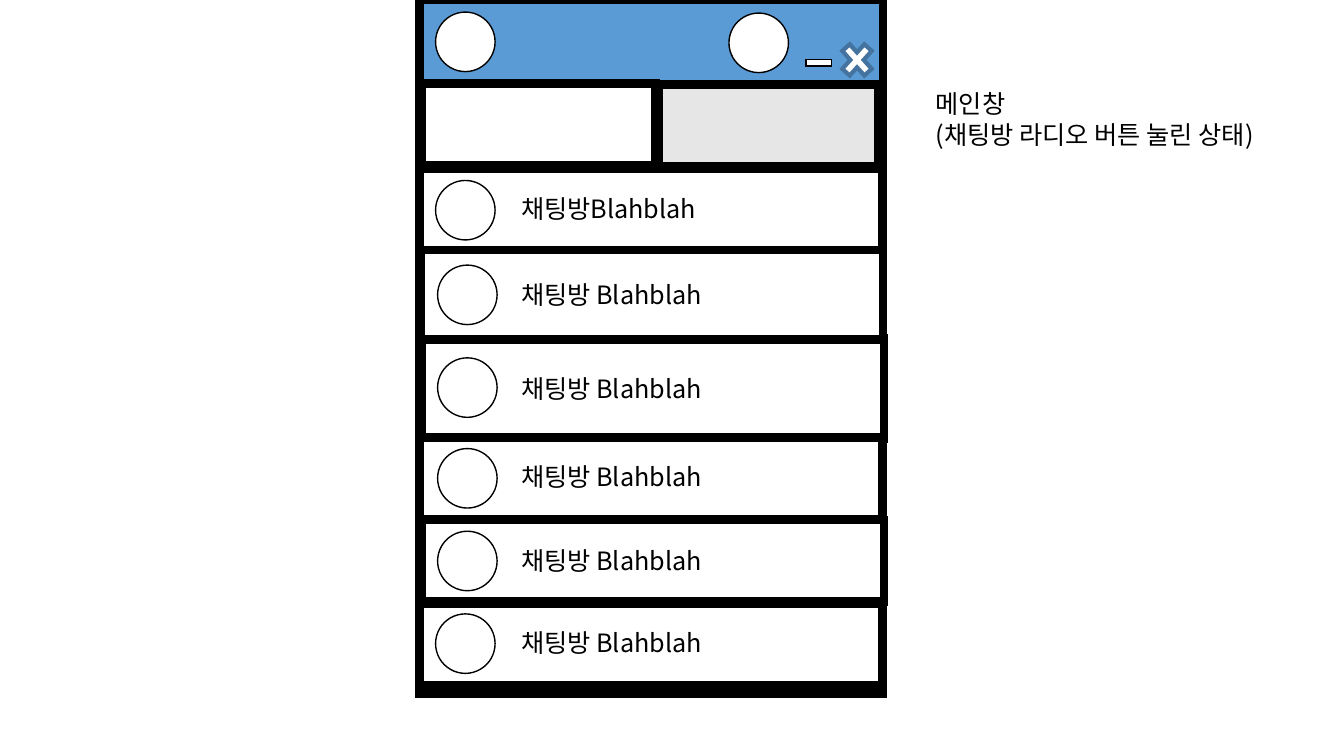
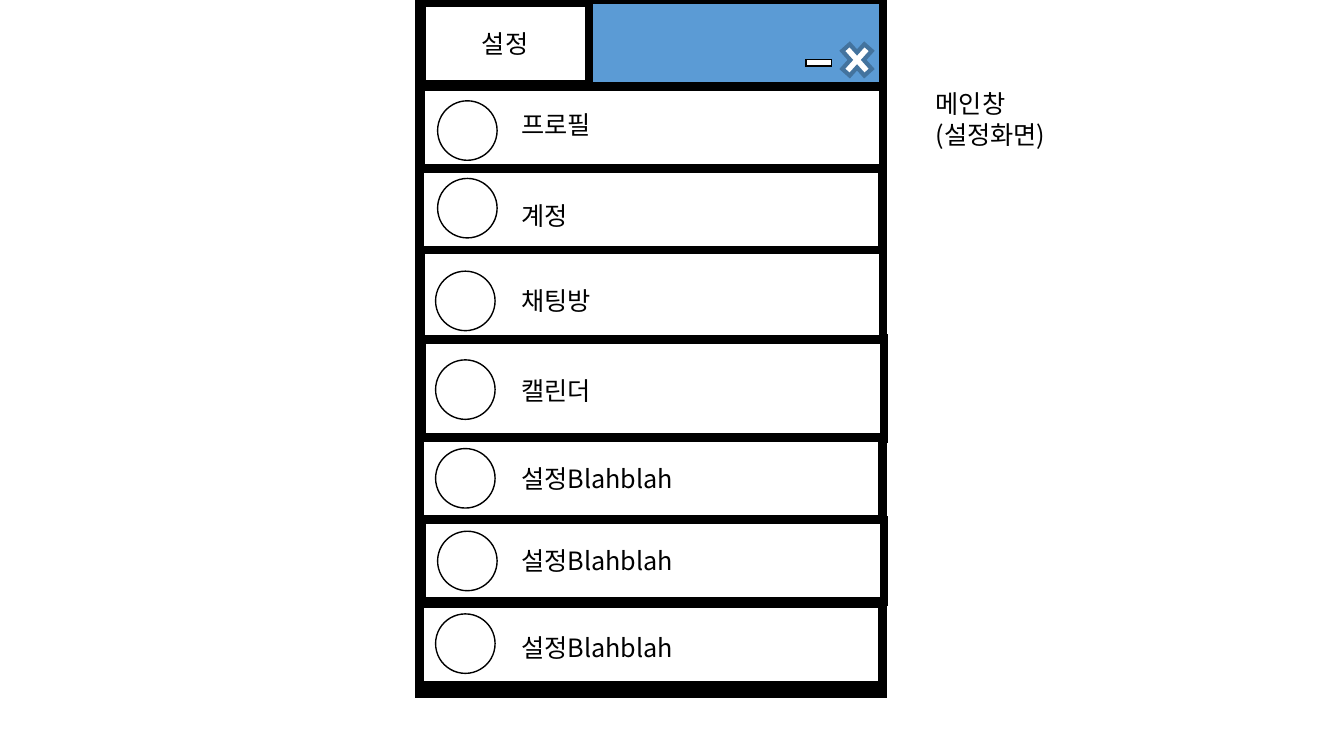
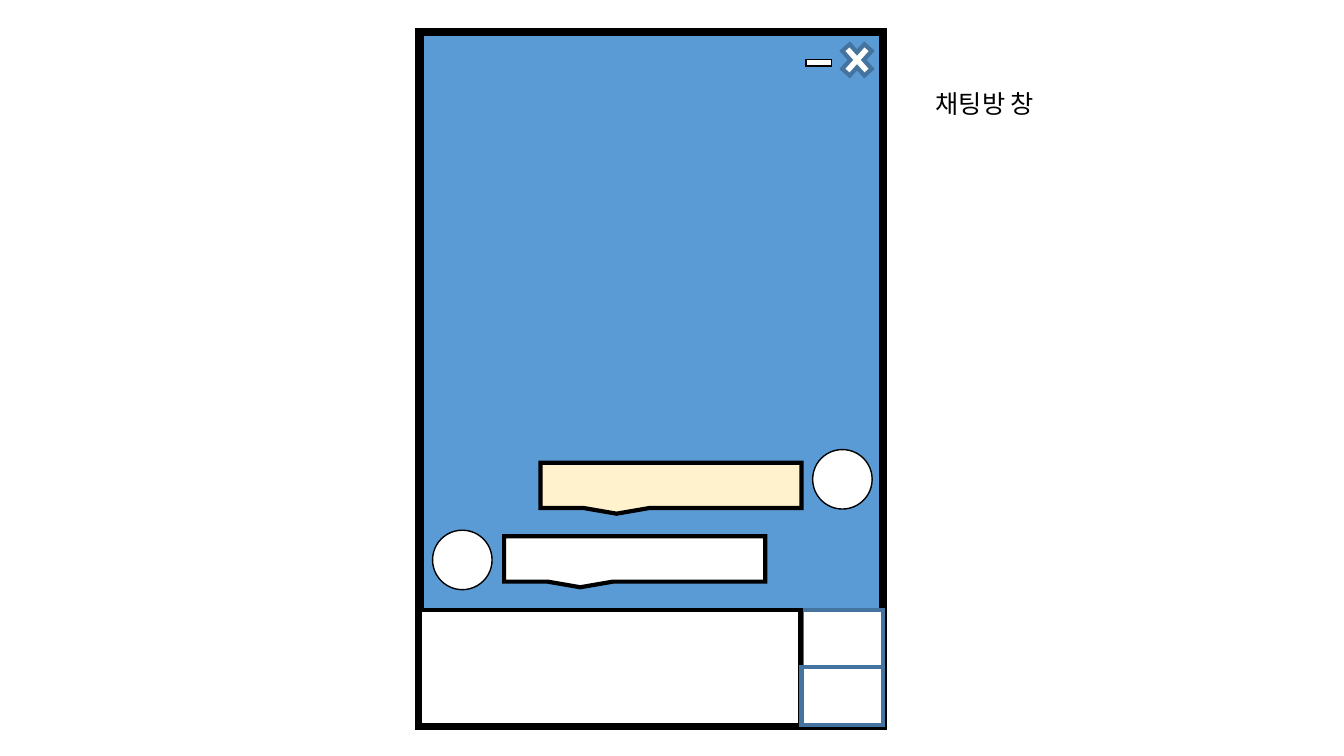
import lxml.etree
import pptx
import pptx.dml.color
import pptx.enum.shapes
import pptx.enum.text
import pptx.oxml.ns
import pptx.util

COLOURS = {
    "black": "000000",
    "white": "FFFFFF",
    "window": "5B9BD5",
    "control": "43739E",
    "idle tab": "E7E6E6",
    "own message": "FFF2CC",
}
FONT = "Noto Sans CJK KR"
PRESET = pptx.enum.shapes.MSO_SHAPE
ALIGN = pptx.enum.text.PP_ALIGN
qn = pptx.oxml.ns.qn

# Shared measures in inches: the app window and its rows
SLIDE_WIDTH, SLIDE_HEIGHT = 13.33, 7.5
WINDOW_LEFT, WINDOW_WIDTH, WINDOW_HEIGHT = 4.16, 4.6, 6.88
ROW_WIDTH, ROW_HEIGHT = 4.59, 0.81
AVATAR = 0.59
AVATAR_LEFT = WINDOW_LEFT + 0.16
LABEL_LEFT, LABEL_WIDTH, LABEL_HEIGHT = WINDOW_LEFT + 0.91, 2.12, 0.4
CAPTION_LEFT, CAPTION_TOP, CAPTION_WIDTH = 9.18, 0.83, 3.82
INPUT_TOP, INPUT_WIDTH, INPUT_HEIGHT = 6.05, 3.78, 1.14


def draw(slide, preset, left, top, width, height, fill="white", line="black", weight=6):
    part = slide.shapes.add_shape(
        preset, *(pptx.util.Inches(length) for length in (left, top, width, height)))
    part.shadow.inherit = False
    part.fill.solid()
    part.fill.fore_color.rgb = pptx.dml.color.RGBColor.from_string(COLOURS[fill])
    part.line.color.rgb = pptx.dml.color.RGBColor.from_string(COLOURS[line])
    part.line.width = pptx.util.Pt(weight)
    outline = part._element.spPr.find(qn("a:ln"))
    lxml.etree.SubElement(outline, qn("a:miter"), lim="800000")


def write(holder, left, top, width, height, lines, align=ALIGN.LEFT):
    holder.left, holder.top, holder.width, holder.height = (
        pptx.util.Inches(length) for length in (left, top, width, height))
    frame = holder.text_frame
    frame.word_wrap = True
    frame.auto_size = pptx.enum.text.MSO_AUTO_SIZE.NONE
    frame.vertical_anchor = pptx.enum.text.MSO_ANCHOR.TOP
    for number, line in enumerate(lines):
        paragraph = frame.add_paragraph() if number else frame.paragraphs[0]
        paragraph.alignment = align
        run = paragraph.add_run()
        run.text = line
        run.font.size = pptx.util.Pt(18)
        run.font.color.rgb = pptx.dml.color.RGBColor.from_string(COLOURS["black"])
        run.font.name = FONT
        lxml.etree.SubElement(run._r.get_or_add_rPr(), qn("a:ea"), typeface=FONT)


deck = pptx.Presentation()
deck.slide_width = pptx.util.Inches(SLIDE_WIDTH)
deck.slide_height = pptx.util.Inches(SLIDE_HEIGHT)
title_only = deck.slide_layouts[5]

# Every screen: window, close and minimise buttons, caption
screens = [
    (0, ["메인창", "(채팅방 라디오 버튼 눌린 상태)"]),
    (0, ["메인창", "(설정화면)"]),
    (0.32, ["채팅방 창"]),
]
for window_top, caption in screens:
    screen = deck.slides.add_slide(title_only)
    draw(screen, PRESET.RECTANGLE, WINDOW_LEFT, window_top, WINDOW_WIDTH, WINDOW_HEIGHT, "window")
    draw(screen, PRESET.MATH_MULTIPLY, 8.29, 0.36, 0.42, 0.47, line="control", weight=3)
    draw(screen, PRESET.MATH_MINUS, 7.95, 0.49, 0.34, 0.27, weight=1)
    write(screen.shapes.title, CAPTION_LEFT, CAPTION_TOP, CAPTION_WIDTH,
          0.09 + 0.31 * len(caption), caption)
chat_list, settings, chat_room = deck.slides

# Chat list: two tabs
draw(chat_list, PRESET.RECTANGLE, 4.18, 0.83, 2.32, ROW_HEIGHT)
draw(chat_list, PRESET.RECTANGLE, 6.53, 0.84, 2.18, ROW_HEIGHT, "idle tab")

# Both lists: row frames as indent, top, height, from back to front
row_frames = [
    (0, 1.67, ROW_HEIGHT),
    (0.02, 3.36, 0.99),
    (0.02, 5.16, ROW_HEIGHT),
    (0.01, 2.48, 0.89),
    (0, 4.34, ROW_HEIGHT),
    (0, 5.99, ROW_HEIGHT),
]
for list_screen in (chat_list, settings):
    for indent, top, height in row_frames:
        draw(list_screen, PRESET.RECTANGLE, WINDOW_LEFT + indent, top, ROW_WIDTH, height)

# Settings: heading and one more row
draw(settings, PRESET.RECTANGLE, 4.17, 0.86, ROW_WIDTH, ROW_HEIGHT)
draw(settings, PRESET.RECTANGLE, 4.18, 0.03, 1.66, ROW_HEIGHT)
write(settings.shapes.add_textbox(0, 0, 0, 0), 4.26, 0.23, 1.5, LABEL_HEIGHT,
      ["설정"], ALIGN.CENTER)

# Row contents: avatar indent, avatar top, label top, label
row_contents = [
    (chat_list, [
        (0, 1.79, 1.87, "채팅방Blahblah"),
        (0.02, 2.63, 2.72, "채팅방 Blahblah"),
        (0.02, 3.55, 3.65, "채팅방 Blahblah"),
        (0.02, 4.45, 4.53, "채팅방 Blahblah"),
        (0.02, 5.27, 5.36, "채팅방 Blahblah"),
        (0, 6.09, 6.17, "채팅방 Blahblah"),
    ]),
    (settings, [
        (0.02, 1, 1.04, "프로필"),
        (0.02, 1.77, 1.94, "계정"),
        (0, 2.69, 2.78, "채팅방"),
        (0, 3.57, 3.67, "캘린더"),
        (0, 4.45, 4.55, "설정Blahblah"),
        (0.02, 5.27, 5.36, "설정Blahblah"),
        (0, 6.09, 6.22, "설정Blahblah"),
    ]),
]
for list_screen, rows in row_contents:
    for indent, avatar_top, label_top, label in rows:
        draw(list_screen, PRESET.OVAL, AVATAR_LEFT + indent, avatar_top, AVATAR, AVATAR, weight=1)
        write(list_screen.shapes.add_textbox(0, 0, 0, 0),
              LABEL_LEFT, label_top, LABEL_WIDTH, LABEL_HEIGHT, [label])

# Free-standing avatars: title bar of the chat list, speakers in the chat room
for screen, left, top in [(chat_list, 4.32, 0.12), (chat_list, 7.23, 0.13),
                          (chat_room, 4.29, 5.26), (chat_room, 8.06, 4.46)]:
    draw(screen, PRESET.OVAL, left, top, AVATAR, AVATAR, weight=1)

# Chat room: input field between two stacked buttons, then the messages
button_left, button_height = WINDOW_LEFT + INPUT_WIDTH + 0.01, INPUT_HEIGHT / 2
draw(chat_room, PRESET.RECTANGLE, button_left, INPUT_TOP, 0.81, button_height,
     line="control", weight=3)
draw(chat_room, PRESET.RECTANGLE, WINDOW_LEFT, INPUT_TOP, INPUT_WIDTH, INPUT_HEIGHT, weight=3)
draw(chat_room, PRESET.RECTANGLE, button_left, INPUT_TOP + button_height, 0.81, button_height,
     line="control", weight=3)
for left, top, fill in [(5, 5.32, "white"), (5.36, 4.59, "own message")]:
    draw(chat_room, PRESET.RECTANGULAR_CALLOUT, left, top, 2.59, 0.45, fill, weight=3)

deck.save("out.pptx")
